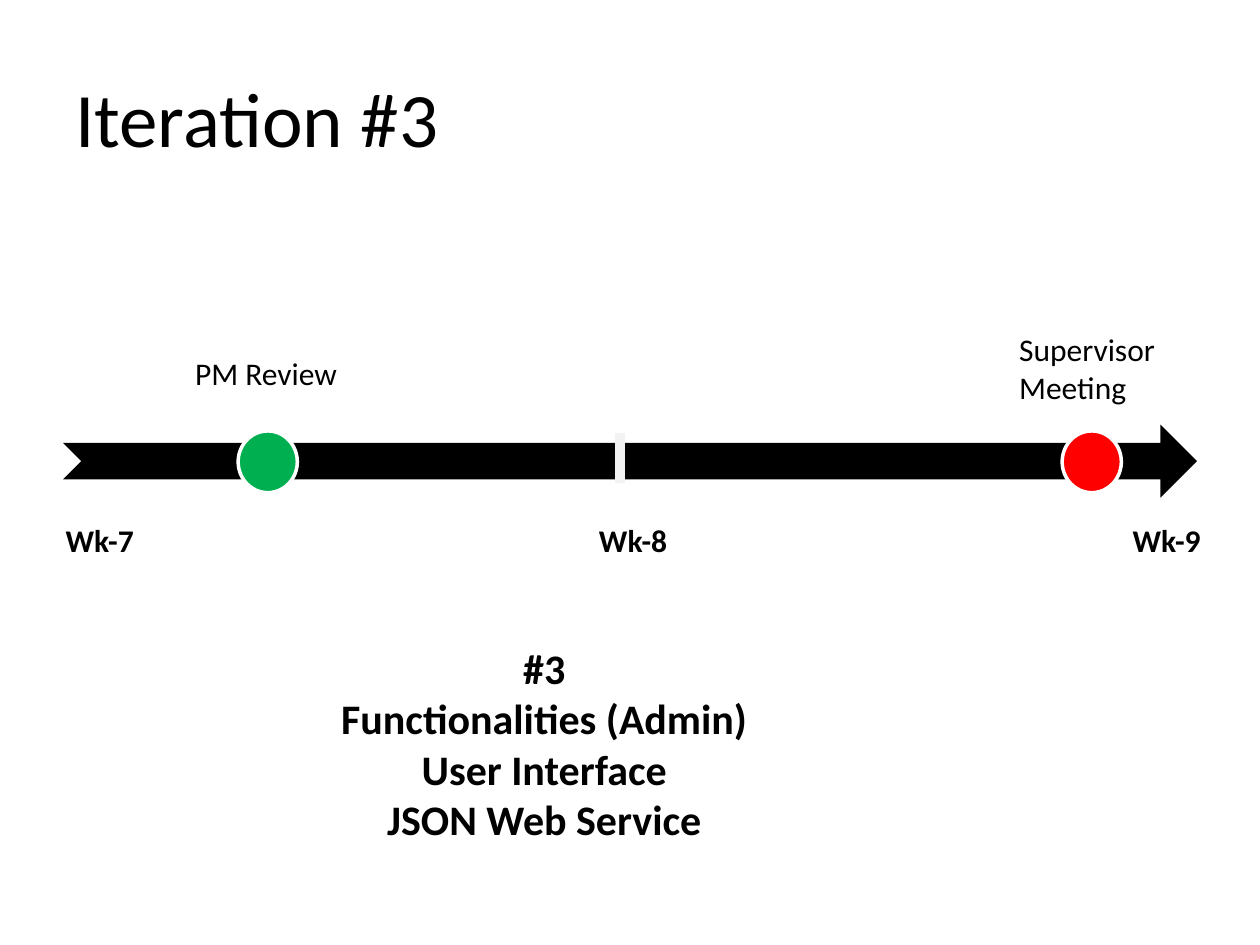
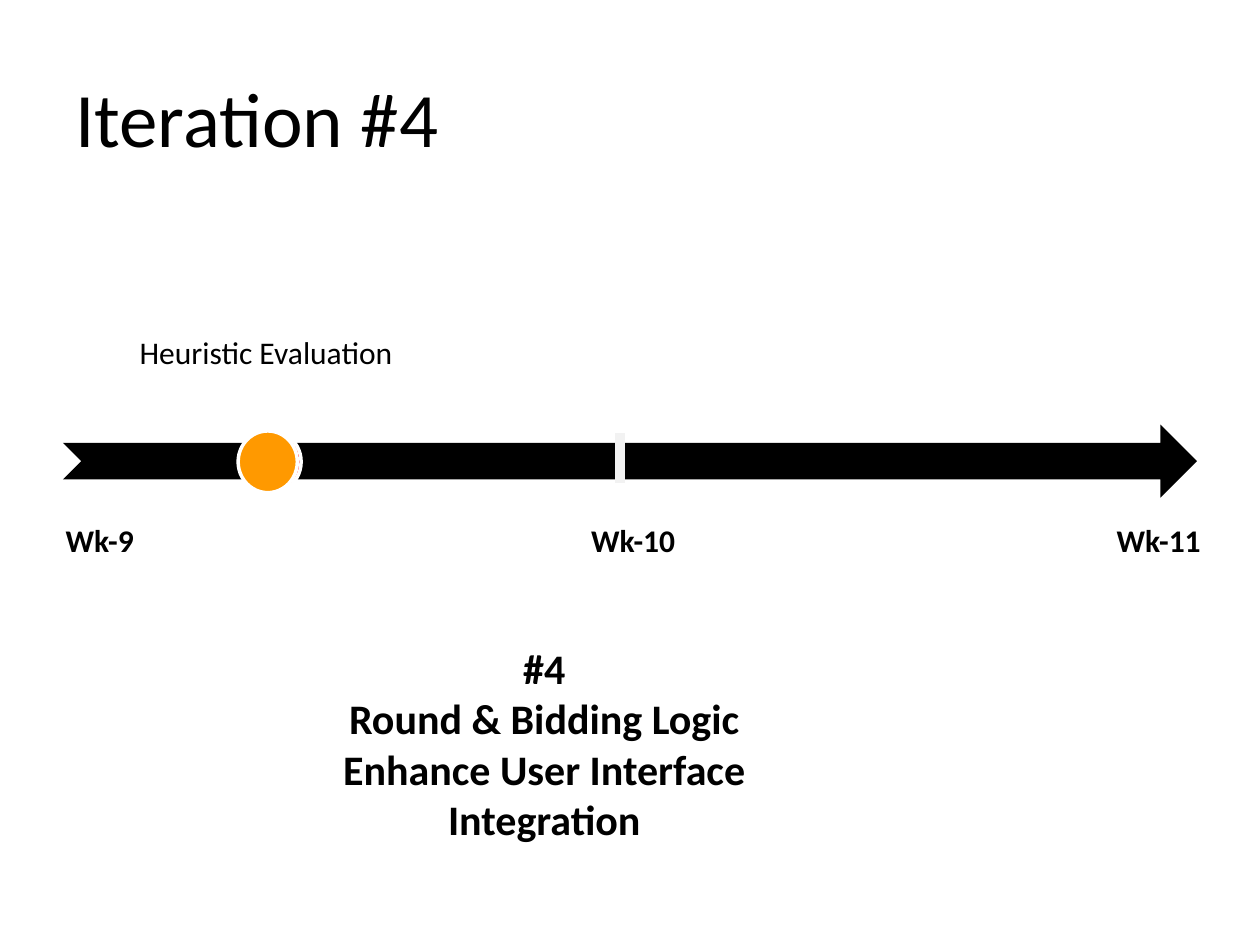
import pptx
import pptx.dml.color
import pptx.enum.shapes
import pptx.enum.text
import pptx.oxml
import pptx.oxml.ns
import pptx.util

Inches = pptx.util.Inches
Shapes = pptx.enum.shapes.MSO_SHAPE
Align = pptx.enum.text.PP_ALIGN
Anchor = pptx.enum.text.MSO_ANCHOR
AutoSize = pptx.enum.text.MSO_AUTO_SIZE

BLACK, WHITE, TICK_GREY = "000000", "FFFFFF", "F2F2F2"
GREEN, RED, ORANGE = "00B050", "FF0000", "FF9900"
TITLE_FONT = {"name": "Calibri", "size": pptx.util.Pt(44), "bold": False}
LABEL_FONT = {**TITLE_FONT, "size": pptx.util.Pt(18)}
WEEK_FONT = {**LABEL_FONT, "bold": True}
GOAL_FONT = {**WEEK_FONT, "size": pptx.util.Pt(24)}

ITERATIONS = [
    {
        "number": "#3",
        "weeks": ["Wk-7", "Wk-8", "Wk-9"],
        "goals": ["Functionalities (Admin)", "User Interface", "JSON Web Service"],
        "milestones": [(8.43, RED), (1.89, GREEN)],
        "labels": [
            ((7.99, 2.57, 1.35, 0.71), ["Supervisor", "Meeting"]),
            ((1.45, 2.76, 1.34, 0.4), ["PM Review"]),
        ],
    },
    {
        "number": "#4",
        "weeks": ["Wk-9", "Wk-10", "Wk-11"],
        "goals": ["Round & Bidding Logic", "Enhance User Interface", "Integration"],
        "milestones": [(1.92, RED), (1.89, ORANGE)],
        "labels": [((1.01, 2.59, 2.23, 0.4), ["Heuristic Evaluation"])],
    },
]


def color(value):
    return pptx.dml.color.RGBColor.from_string(value)


def box(bounds):
    return [Inches(length) for length in bounds]


def write(frame, lines, font, align=Align.LEFT):
    for index, line in enumerate(lines):
        paragraph = frame.add_paragraph() if index else frame.paragraphs[0]
        paragraph.alignment = align
        run = paragraph.add_run()
        run.text = line
        run.font.color.rgb = color(BLACK)
        for attribute, value in font.items():
            setattr(run.font, attribute, value)


def add_text(slide, bounds, lines, font, align=Align.LEFT):
    frame = slide.shapes.add_textbox(*box(bounds)).text_frame
    frame.word_wrap = False
    frame.auto_size = AutoSize.SHAPE_TO_FIT_TEXT
    write(frame, lines, font, align)


def add_title(slide, title):
    frame = slide.shapes.add_textbox(*box((0.5, 0.3, 9, 1.25))).text_frame
    frame.word_wrap = True
    frame.vertical_anchor = Anchor.MIDDLE
    write(frame, [title], TITLE_FONT)


def add_filled(slide, kind, bounds, fill):
    shape = slide.shapes.add_shape(kind, *box(bounds))
    shape.shadow.inherit = False
    shape.fill.solid()
    shape.fill.fore_color.rgb = color(fill)
    shape.line.fill.background()
    return shape


def add_milestone(slide, left, fill):
    milestone = add_filled(slide, Shapes.OVAL, (left, 3.42, 0.47, 0.49), fill)
    milestone.line.color.rgb = color(WHITE)
    milestone.line.width = pptx.util.Pt(2)


def add_midpoint(slide):
    tick = slide.shapes.add_connector(
        pptx.enum.shapes.MSO_CONNECTOR.STRAIGHT, *box((4.92, 3.44, 4.92, 3.83)))
    tick.line.color.rgb = color(TICK_GREY)
    tick.line.width = pptx.util.Pt(6)
    properties = tick._element.find(pptx.oxml.ns.qn("p:spPr"))
    properties.append(pptx.oxml.parse_xml(
        "<a:effectLst %s/>" % pptx.oxml.ns.nsdecls("a")))


def add_weeks(slide, weeks):
    table = slide.shapes.add_table(1, len(weeks), *box((0.42, 4.1, 9.21, 0.41))).table
    table.first_row = False
    table.horz_banding = False
    aligns = (Align.LEFT, Align.CENTER, Align.RIGHT)
    for cell, week, align in zip(table.iter_cells(), weeks, aligns):
        cell.fill.background()
        write(cell.text_frame, [week], WEEK_FONT, align)


def add_iteration(slide, iteration):
    number = iteration["number"]
    add_title(slide, f"Iteration {number}")
    add_filled(slide, Shapes.NOTCHED_RIGHT_ARROW, (0.5, 3.37, 9, 0.58), BLACK)
    add_midpoint(slide)
    for left, fill in iteration["milestones"]:
        add_milestone(slide, left, fill)
    add_weeks(slide, iteration["weeks"])
    add_text(slide, (2.59, 5.05, 3.46, 1.72), [number, *iteration["goals"]],
             GOAL_FONT, Align.CENTER)
    for bounds, lines in iteration["labels"]:
        add_text(slide, bounds, lines, LABEL_FONT)


def main():
    deck = pptx.Presentation()
    deck.slide_width = Inches(10)
    deck.slide_height = Inches(7.5)
    for iteration in ITERATIONS:
        slide = deck.slides.add_slide(deck.slide_layouts[6])
        slide.background.fill.solid()
        slide.background.fill.fore_color.rgb = color(WHITE)
        add_iteration(slide, iteration)
    deck.save("out.pptx")


if __name__ == "__main__":
    main()
